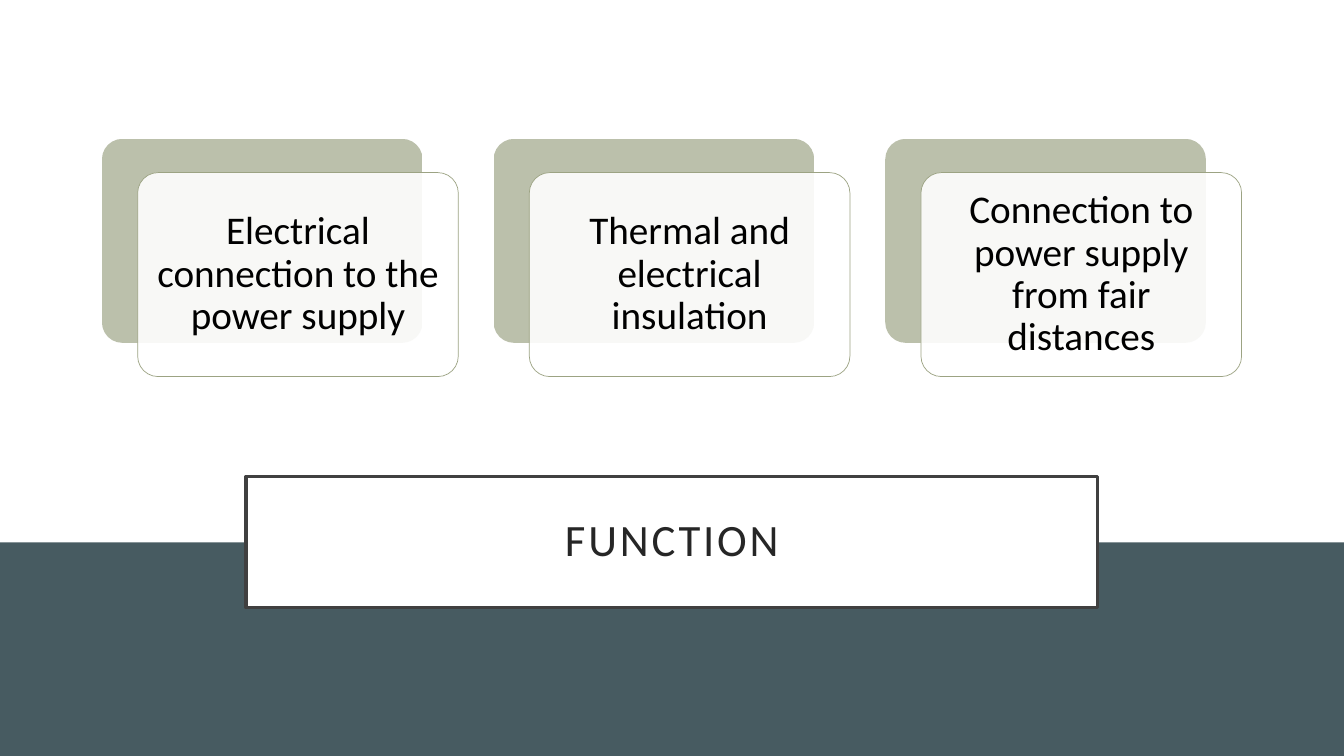
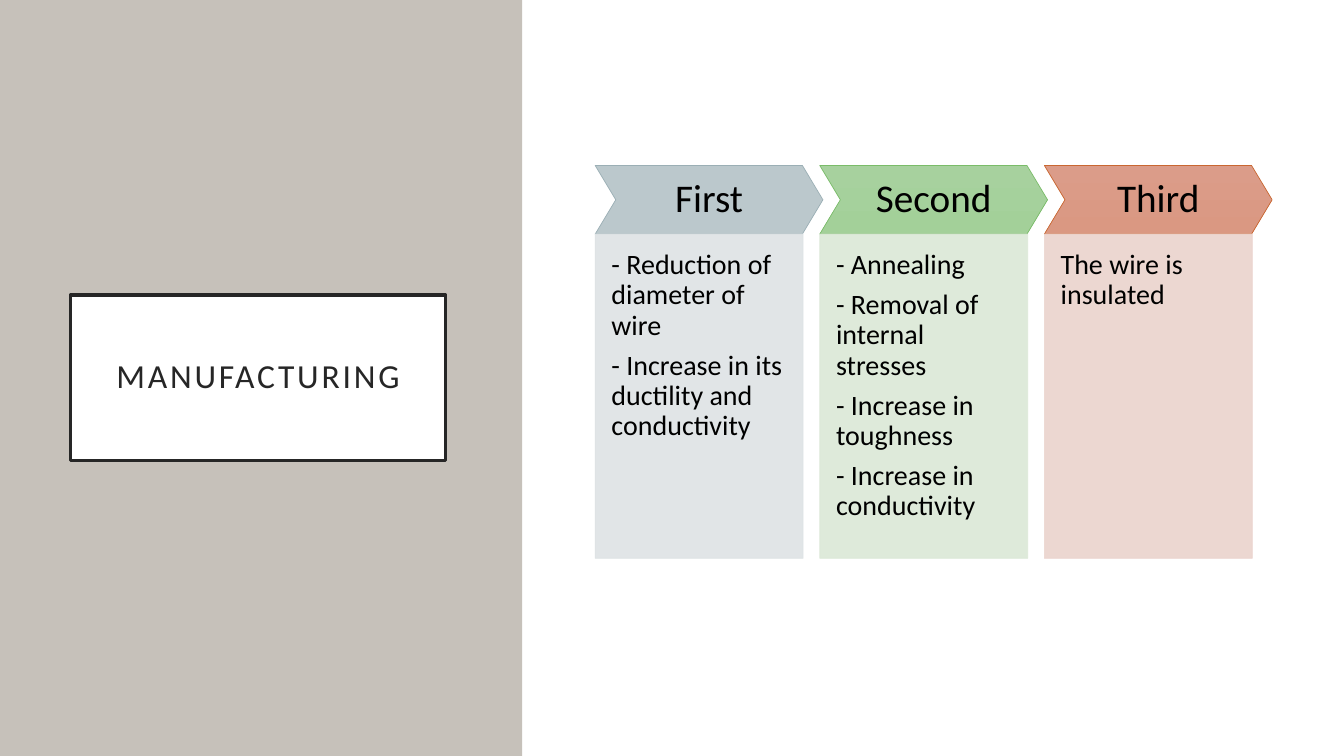
import pptx
import pptx.util
import pptx.dml.color
import pptx.enum.shapes
import pptx.enum.text
import pptx.oxml.ns
import lxml.etree

Cm, Pt = pptx.util.Cm, pptx.util.Pt
SHAPES = pptx.enum.shapes.MSO_SHAPE
ALIGN = pptx.enum.text.PP_ALIGN
ANCHOR = pptx.enum.text.MSO_ANCHOR

# Content
FUNCTIONS = [
    "Electrical connection to the power supply",
    "Thermal and electrical insulation",
    "Connection to power supply from fair distances",
]
STEPS = [
    {"name": "First", "gradient": ("BBC8CC", "B8C6CB"), "edge": "9BAFB5", "tint": "DEE3E5",
     "points": ["- Reduction of diameter of wire",
                "- Increase in its ductility and conductivity"]},
    {"name": "Second", "gradient": ("A7D19E", "A3D099"), "edge": "7ABC69", "tint": "DBE8D6",
     "points": ["- Annealing", "- Removal of internal stresses",
                "- Increase in toughness", "- Increase in conductivity"]},
    {"name": "Third", "gradient": ("DB9C89", "DA9882"), "edge": "C96731", "tint": "EBD3CD",
     "points": ["The wire is insulated"]},
]

# Shared style
FONT = "Calibri"
WHITE, BLACK, INK, FRAME = "FFFFFF", "000000", "262626", "404040"
SLATE, STONE = "475B61", "C6C1BA"
SAGE, SAGE_EDGE = ("BBC0AB", "B9BEA8"), "9CA383"
SLIDE_WIDTH, SLIDE_HEIGHT = 33.87, 19.05


def color(value):
    return pptx.dml.color.RGBColor.from_string(value)


def set_alpha(element, percent):
    """Make every plain colour below the element partly transparent."""
    for tone in element.iter(pptx.oxml.ns.qn("a:srgbClr")):
        alpha = lxml.etree.SubElement(tone, pptx.oxml.ns.qn("a:alpha"))
        alpha.set("val", str(percent * 1000))


def add_box(page, kind, left, top, width, height, fill,
            line=None, line_width=0.5, corner=None, alpha=None, alpha_line=False):
    """Add a shape; a pair of colours as fill gives a vertical gradient."""
    box = page.shapes.add_shape(kind, Cm(left), Cm(top), Cm(width), Cm(height))
    box.shadow.inherit = False
    if corner is not None:
        box.adjustments[0] = corner
    if isinstance(fill, tuple):
        box.fill.gradient()
        box.fill.gradient_angle = 270
        for stop, tone in zip(box.fill.gradient_stops, fill):
            stop.color.rgb = color(tone)
    else:
        box.fill.solid()
        box.fill.fore_color.rgb = color(fill)
    if alpha and not alpha_line:
        set_alpha(box._element.spPr, alpha)
    if line:
        box.line.color.rgb = color(line)
        box.line.width = Pt(line_width)
    else:
        box.line.fill.background()
    if alpha and alpha_line:
        set_alpha(box._element.spPr, alpha)
    return box


def write(box, paragraphs, size=28, tone=BLACK, align=ALIGN.CENTER, anchor=ANCHOR.MIDDLE,
          inset=0.2, bottom=None, gap=0, spacing=None):
    frame = box.text_frame
    frame.word_wrap = True
    frame.vertical_anchor = anchor
    frame.margin_left = frame.margin_right = frame.margin_top = Cm(inset)
    frame.margin_bottom = Cm(inset if bottom is None else bottom)
    for index, text in enumerate(paragraphs):
        para = frame.paragraphs[0] if index == 0 else frame.add_paragraph()
        para.alignment = align
        para.line_spacing = 0.9
        para.space_after = Pt(gap)
        span = para.add_run()
        span.text = text
        span.font.name = FONT
        span.font.size = Pt(size)
        span.font.color.rgb = color(tone)
        if spacing:
            span._r.get_or_add_rPr().set("spc", str(spacing * 100))


def add_title(page, text, left, top, width, height, size, line):
    box = add_box(page, SHAPES.RECTANGLE, left, top, width, height, WHITE,
                  line=line, line_width=2.5)
    write(box, [text], size=size, tone=INK, inset=0.5, spacing=2)


def add_page(deck):
    return deck.slides.add_slide(deck.slide_layouts[6])


def build_function(deck):
    page = add_page(deck)
    band_top = 13.67
    add_box(page, SHAPES.RECTANGLE, 0, band_top, SLIDE_WIDTH, SLIDE_HEIGHT - band_top, SLATE)
    title_width = 21.46
    add_title(page, "FUNCTION", (SLIDE_WIDTH - title_width) / 2, 12.01, title_width, 3.3,
              size=32, line=FRAME)

    # Cards, each lying over a shifted backing
    width, height, pitch = 8.08, 5.14, 9.87
    for index, text in enumerate(FUNCTIONS):
        left, top = 2.57 + index * pitch, 3.5
        add_box(page, SHAPES.ROUNDED_RECTANGLE, left, top, width, height, SAGE, corner=0.1)
        card = add_box(page, SHAPES.ROUNDED_RECTANGLE, left + 0.9, top + 0.85, width, height,
                       WHITE, line=SAGE_EDGE, corner=0.1, alpha=90)
        # The rounded outline already insets its text a little
        write(card, [text], inset=0.3)


def build_manufacturing(deck):
    page = add_page(deck)
    add_box(page, SHAPES.RECTANGLE, 0, 0, 13.16, SLIDE_HEIGHT, STONE)
    add_title(page, "MANUFACTURING", 1.78, 7.44, 9.45, 4.17, size=24, line=INK)

    # Process columns: chevron heading over a tinted panel
    top, head_height, pitch = 4.17, 1.73, 5.66
    for index, step in enumerate(STEPS):
        left = 15 + index * pitch
        heading = add_box(page, SHAPES.CHEVRON, left, top, 5.74, head_height,
                          step["gradient"], line=step["edge"], corner=0.3)
        write(heading, [step["name"]])
        panel = add_box(page, SHAPES.RECTANGLE, left, top + head_height, 5.24, 8.17,
                        step["tint"], line=step["tint"], alpha=90, alpha_line=True)
        write(panel, step["points"], size=20, align=ALIGN.LEFT, anchor=ANCHOR.TOP,
              inset=0.41, bottom=0.84, gap=7)


def main():
    deck = pptx.Presentation()
    deck.slide_width, deck.slide_height = Cm(SLIDE_WIDTH), Cm(SLIDE_HEIGHT)
    build_function(deck)
    build_manufacturing(deck)
    deck.save("out.pptx")


if __name__ == "__main__":
    main()
